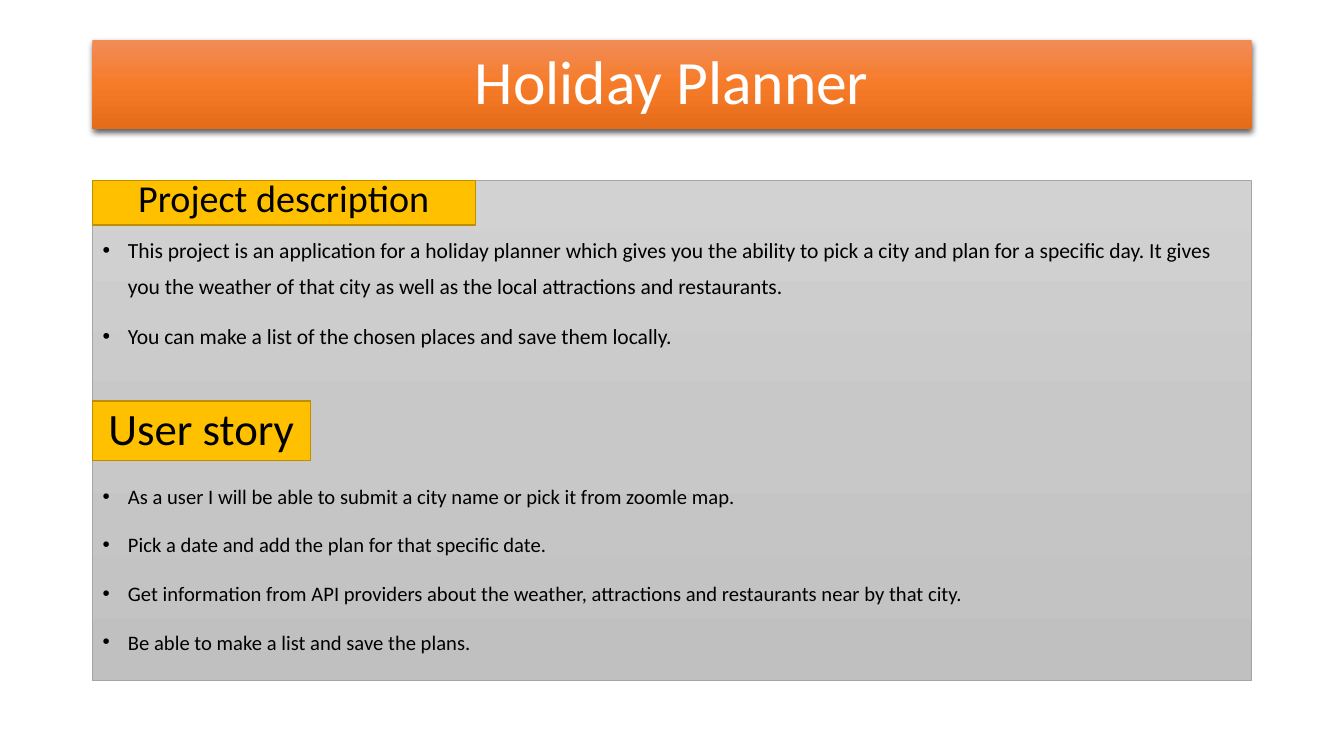
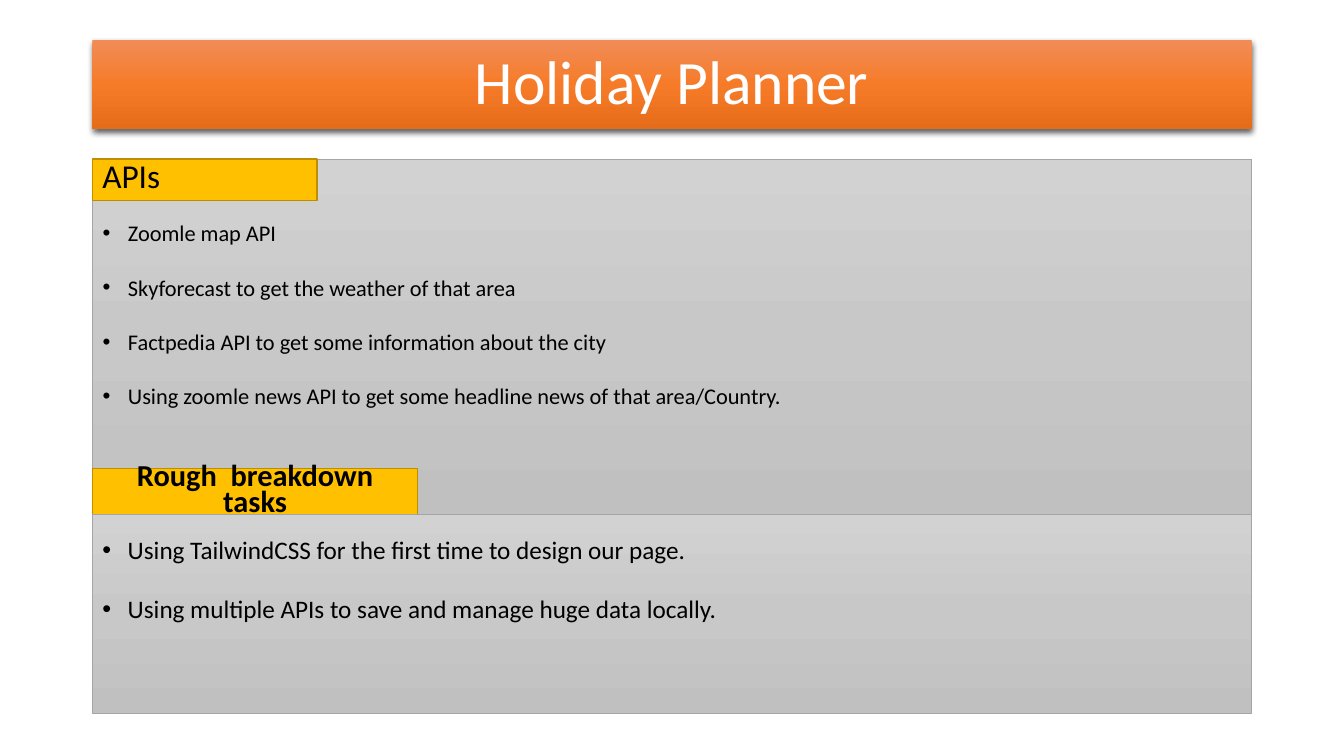
from pptx import Presentation
from pptx.dml.color import RGBColor
from pptx.enum.shapes import MSO_SHAPE
from pptx.enum.text import MSO_ANCHOR, MSO_AUTO_SIZE, PP_ALIGN
from pptx.oxml import parse_xml
from pptx.oxml.ns import nsdecls, qn
from pptx.util import Cm, Pt
from lxml.etree import SubElement

# Shared look
COLORS = {"title": "FFFFFF", "text": "000000", "label": "FFC000",
          "label_line": "BD8E00", "panel_line": "A5A5A5", "shadow": "000000"}
GRADIENTS = {"title": ("F18C57", "F67B28", "E56C19"),
             "panel": ("D2D2D2", "C8C8C8", "C0C0C0")}
FONT = "Calibri"
LEFT, WIDTH = 2.33, 29.21
TITLE_TOP, TITLE_HEIGHT = 1.02, 2.24
INDENT = Cm(0.64)
FRAME = {"word_wrap": True, "auto_size": MSO_AUTO_SIZE.NONE}


def set_all(obj, **values):
    for name, value in values.items():
        setattr(obj, name, value)


def place(sp, left, top, width, height):
    set_all(sp, left=Cm(left), top=Cm(top), width=Cm(width), height=Cm(height))


def fill_gradient(sp, name):
    """Vertical gradient with three evenly spaced stops."""
    stops = "".join(
        f'<a:gs pos="{i * 50000}"><a:srgbClr val="{color}"/></a:gs>'
        for i, color in enumerate(GRADIENTS[name]))
    sp.fill.background()
    spPr = sp._element.spPr
    spPr.replace(spPr.find(qn("a:noFill")), parse_xml(
        f'<a:gradFill {nsdecls("a")} rotWithShape="1"><a:gsLst>{stops}</a:gsLst>'
        '<a:lin ang="5400000" scaled="0"/></a:gradFill>'))


def add_shadow(sp):
    sp._element.spPr.append(parse_xml(
        f'<a:effectLst {nsdecls("a")}><a:outerShdw blurRad="{Pt(4.5)}" '
        f'dist="{Pt(1.5)}" dir="5400000" algn="ctr" rotWithShape="0">'
        f'<a:srgbClr val="{COLORS["shadow"]}"><a:alpha val="63000"/></a:srgbClr>'
        '</a:outerShdw></a:effectLst>'))


def set_line(sp, color, width):
    sp.line.color.rgb = RGBColor.from_string(COLORS[color])
    sp.line.width = Pt(width)


def write(p, text, size, color="text", bold=False, **layout):
    set_all(p, **layout)
    r = p.add_run()
    r.text = text
    set_all(r.font, name=FONT, size=Pt(size), bold=bold)
    r.font.color.rgb = RGBColor.from_string(COLORS[color])


def add_rect(slide, left, top, width, height):
    sp = slide.shapes.add_shape(MSO_SHAPE.RECTANGLE, Cm(left), Cm(top),
                                Cm(width), Cm(height))
    sp.shadow.inherit = False
    return sp


def add_title(slide, text):
    sp = slide.shapes.title
    place(sp, LEFT, TITLE_TOP, WIDTH, TITLE_HEIGHT)
    fill_gradient(sp, "title")
    add_shadow(sp)
    tf = sp.text_frame
    set_all(tf, vertical_anchor=MSO_ANCHOR.MIDDLE, **FRAME)
    write(tf.paragraphs[0], text, 44, "title",
          alignment=PP_ALIGN.CENTER, line_spacing=0.9)


def format_panel(sp, inset=0.13):
    fill_gradient(sp, "panel")
    set_line(sp, "panel_line", 0.5)
    set_all(sp.text_frame, vertical_anchor=MSO_ANCHOR.TOP,
            margin_top=Cm(inset), **FRAME)


def add_bullets(sp, items, size, spacing, first_gap=10):
    tf = sp.text_frame
    for i, item in enumerate(items):
        p = tf.add_paragraph() if tf.text else tf.paragraphs[0]
        write(p, item, size, alignment=PP_ALIGN.LEFT, line_spacing=spacing,
              space_before=Pt(10 if i else first_gap))
        pPr = p._p.get_or_add_pPr()
        pPr.set("marL", str(INDENT))
        pPr.set("indent", str(-INDENT))
        SubElement(pPr, qn("a:buFont")).set("typeface", "Arial")
        SubElement(pPr, qn("a:buChar")).set("char", "•")


def add_label(slide, text, top, width, height, size, spacing=0.7,
              align=PP_ALIGN.CENTER, bold=False):
    sp = add_rect(slide, LEFT, top, width, height)
    sp.fill.solid()
    sp.fill.fore_color.rgb = RGBColor.from_string(COLORS["label"])
    set_line(sp, "label_line", 1)
    tf = sp.text_frame
    set_all(tf, vertical_anchor=MSO_ANCHOR.MIDDLE, **FRAME)
    write(tf.paragraphs[0], text, size, bold=bold,
          alignment=align, line_spacing=spacing)


def add_planner_slide(prs, top, height, inset):
    """Slide with the title band and its main panel; returns both."""
    slide = prs.slides.add_slide(prs.slide_layouts[1])
    add_title(slide, "Holiday Planner")
    body = slide.placeholders[1]
    place(body, LEFT, top, WIDTH, height)
    format_panel(body, inset)
    return slide, body


def add_description_slide(prs):
    slide, body = add_planner_slide(prs, 4.55, 12.6, 1.16)
    add_bullets(body, [
        "This project is an application for a holiday planner which gives you "
        "the ability to pick a city and plan for a specific day. It gives you "
        "the weather of that city as well as the local attractions and restaurants.",
        "You can make a list of the chosen places and save them locally.",
    ], 15.4, 1.4)
    # User story list, below its label
    add_bullets(body, [
        "As a user I will be able to submit a city name or pick it from zoomle map.",
        "Pick a date and add the plan for that specific date.",
        "Get information from API providers about the weather, attractions and "
        "restaurants near by that city.",
        "Be able to make a list and save the plans.",
    ], 14.7, 1.4, first_gap=89)
    add_label(slide, "Project description", 4.55, 9.65, 1.12, 27.2)
    add_label(slide, "User story", 10.11, 5.49, 1.5, 32, spacing=0.9)


def add_api_slide(prs):
    slide, body = add_planner_slide(prs, 4.01, 8.94, 1.18)
    add_bullets(body, [
        "Zoomle map API",
        "Skyforecast to get the weather of that area",
        "Factpedia API to get some information about the city",
        "Using zoomle news API to get some headline news of that area/Country.",
    ], 16, 1.5)
    add_label(slide, "APIs", 4.01, 5.66, 1.04, 23.8, align=PP_ALIGN.LEFT)
    add_label(slide, "Rough  breakdown tasks", 11.81, 8.2, 1.17, 21.7, bold=True)
    # Tasks panel
    tasks = add_rect(slide, LEFT, 12.95, WIDTH, 5.03)
    format_panel(tasks)
    add_bullets(tasks, [
        "Using TailwindCSS for the first time to design our page.",
        "Using multiple APIs to save and manage huge data locally.",
    ], 18, 1.5)


def main():
    prs = Presentation()
    set_all(prs, slide_width=Cm(33.87), slide_height=Cm(19.05))
    add_description_slide(prs)
    add_api_slide(prs)
    prs.save("out.pptx")


main()
